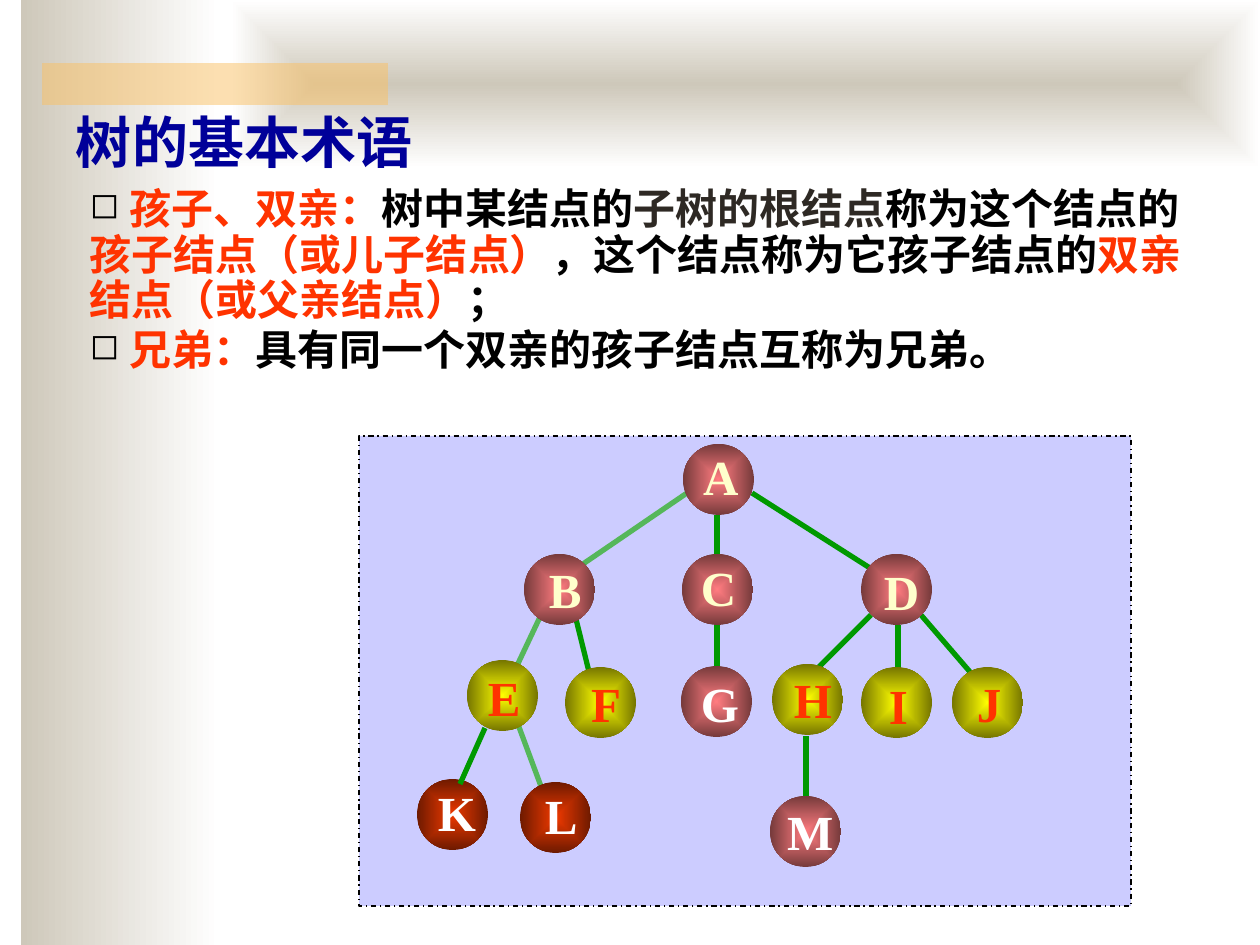
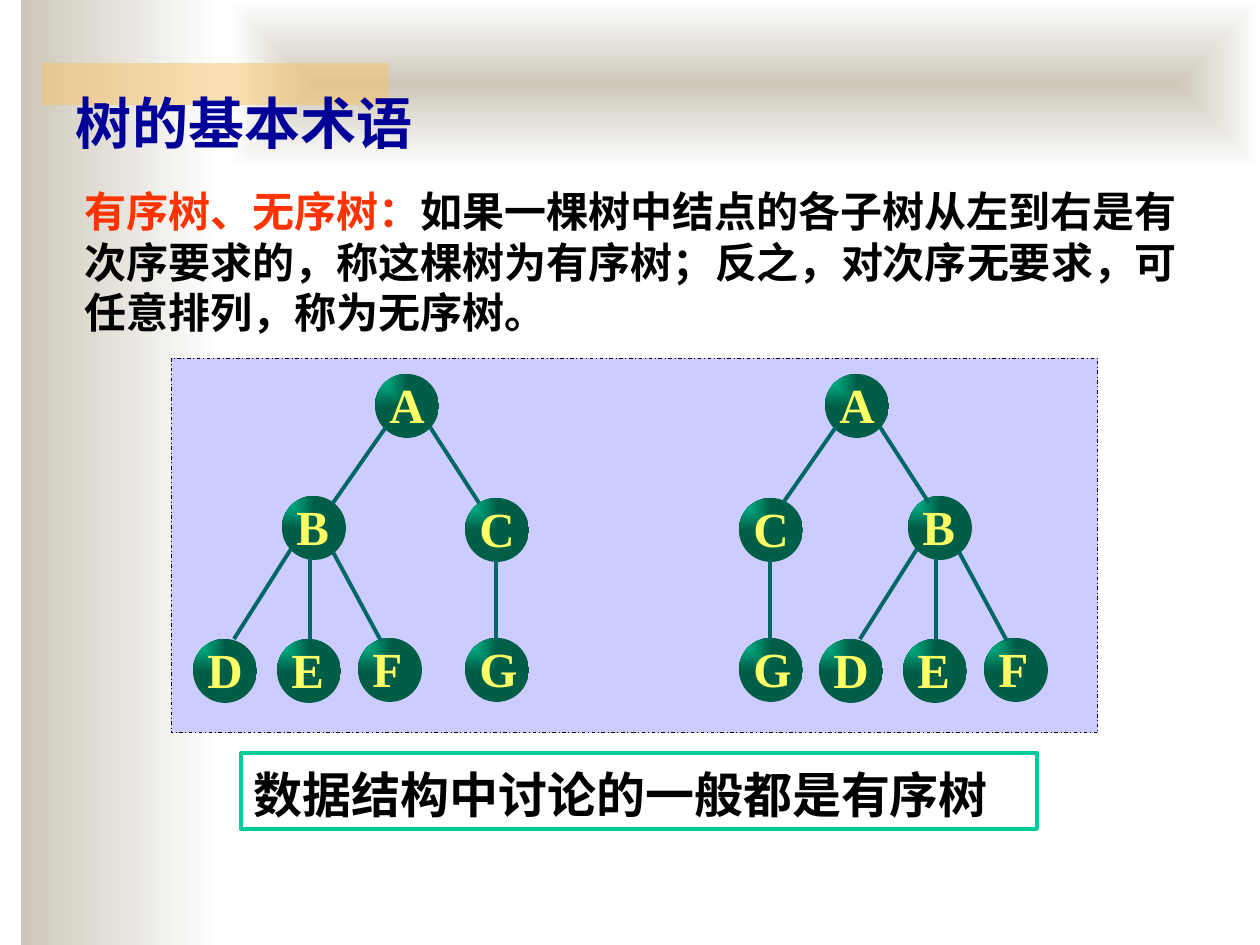
from lxml.etree import SubElement as Sub
from pptx import Presentation
from pptx.dml.color import RGBColor
from pptx.enum.dml import MSO_LINE as Dash
from pptx.enum.shapes import MSO_CONNECTOR as Conn, MSO_SHAPE as Geo
from pptx.enum.text import MSO_ANCHOR as Anchor, PP_ALIGN as Align
from pptx.oxml.ns import qn
from pptx.util import Emu, Pt

SCALE = 914400 / 126
HAN, ROMAN = "Noto Sans CJK SC", "Times New Roman"
RED, BLACK, WHITE, NAVY = "FF3300", "000000", "FFFFFF", "000099"
SAND, AMBER, LILAC, MINT = "CEC8BA", "FAC164", "CCCCFF", "00CC99"
CREAM, LEMON, GREEN, PALE, TEAL = "FFFFCC", "FFFF66", "009900", "55B75A", "006666"
# Ball gradients: centre, rim
ROSE, GOLD, RUST = ("FF7C80", "763A3B"), ("FFFF00", "767600"), ("EE3900", "6E1A00")
JADE = (MINT, "005E47")
CENTRE, CORNER = (50, 50, 50, 50), (0, 0, 100, 100)

# Content: each paragraph is a list of (words, colour)
TITLE = "树的基本术语"
KIN = [
    [(" 孩子、双亲：", RED), ("树中某结点的", BLACK), ("子树的根结点", "2E2924"),
     ("称为这个结点的", BLACK), ("孩子结点（或儿子结点）", RED),
     ("，这个结点称为它孩子结点的", BLACK), ("双亲结点（或父亲结点）", RED), ("；", BLACK)],
    [(" 兄弟：", RED), ("具有同一个双亲的孩子结点互称为兄弟。", BLACK)],
]
ORDER = [[("有序树、无序树：", RED),
          ("如果一棵树中结点的各子树从左到右是有次序要求的，称这棵树为有序树；"
           "反之，对次序无要求，可任意排列，称为无序树。", BLACK)]]
NOTE = "数据结构中讨论的一般都是有序树"

# Family tree: letter, ball x, y, label x, y, label width, ball colours, ink
FAMILY = [
    ("A", 683, 444, 690, 441, 59, ROSE, CREAM),
    ("B", 524, 554, 536, 554, 57, ROSE, CREAM),
    ("C", 682, 554, 688, 552, 59, ROSE, CREAM),
    ("D", 861, 554, 871, 556, 59, ROSE, CREAM),
    ("E", 467, 660, 475, 662, 57, GOLD, RED),
    ("F", 565, 667, 578, 668, 54, GOLD, RED),
    ("G", 681, 666, 688, 668, 62, ROSE, WHITE),
    ("H", 772, 664, 781, 664, 62, GOLD, RED),
    ("I", 861, 667, 876, 670, 43, GOLD, RED),
    ("J", 952, 667, 964, 668, 48, GOLD, RED),
    ("K", 417, 779, 425, 777, 62, RUST, WHITE),
    ("L", 520, 782, 532, 780, 57, RUST, WHITE),
    ("M", 770, 796, 774, 796, 69, ROSE, WHITE),
]
LINKS = [
    (921, 615, 983, 687, GREEN), (871, 615, 809, 677, GREEN),
    (898, 625, 898, 677, GREEN), (806, 736, 806, 796, GREEN),
    (752, 493, 881, 575, GREEN), (687, 493, 583, 564, PALE),
    (717, 515, 717, 737, GREEN), (575, 615, 593, 688, GREEN),
    (519, 727, 542, 789, PALE), (541, 615, 515, 670, PALE),
]
TOP_LINK = (485, 728, 460, 784, GREEN)

# Ordered tree branches: shift to the second tree, balls, links
BRANCHES = [
    (450, [("A", 375, 374)], [(386, 427, 333, 503), (430, 427, 479, 503)]),
    (274, [("C", 465, 498), ("G", 465, 638)], [(496, 559, 496, 641)]),
    (626, [("B", 282, 496), ("D", 193, 639), ("E", 277, 639), ("F", 358, 638)],
     [(310, 558, 310, 639), (333, 552, 381, 641), (291, 549, 234, 639)]),
]


def px(*sizes):
    return [Emu(round(size * SCALE)) for size in sizes]


def rgb(code):
    return RGBColor.from_string(code)


def blend(shape, inner, outer, focus=None):
    """Linear gradient, or a path gradient when a focus is given."""
    fill = shape.fill
    fill.gradient()
    fill.gradient_angle = 0
    for stop, code in zip(fill.gradient_stops, (inner, outer)):
        stop.color.rgb = rgb(code)
    if focus:
        grad = shape._element.spPr.find(qn("a:gradFill"))
        grad.remove(grad.find(qn("a:lin")))
        kind = "shape" if focus == CENTRE else "rect"
        way = Sub(grad, qn("a:path"), {"path": kind})
        Sub(way, qn("a:fillToRect"),
            {side: str(part * 1000) for side, part in zip("ltrb", focus)})


def shape(slide, box, geo=Geo.RECTANGLE, fill=None, line=None, width=1, dash=None):
    item = slide.shapes.add_shape(geo, *px(*box))
    item.shadow.inherit = False
    if fill:
        item.fill.solid()
        item.fill.fore_color.rgb = rgb(fill)
    else:
        item.fill.background()
    if line:
        item.line.color.rgb = rgb(line)
        item.line.width = Pt(width)
        item.line.dash_style = dash
    else:
        item.line.fill.background()
    return item


def ball(slide, x, y, size, tones, focus):
    item = shape(slide, (x, y, size, size), Geo.OVAL)
    blend(item, *tones, focus)
    return item


def link(slide, x1, y1, x2, y2, ink, width):
    item = slide.shapes.add_connector(Conn.STRAIGHT, *px(x1, y1, x2, y2))
    item.line.color.rgb = rgb(ink)
    item.line.width = Pt(width)
    Sub(item._element.spPr, qn("a:effectLst"))


def text(item, paras, size=28, font=HAN, ink=BLACK, pitch=None, gap=0,
         inset=(13, 6, 13, 6), anchor=Anchor.TOP, wrap=True, mark=None):
    frame = item.text_frame
    frame.word_wrap = wrap
    frame.vertical_anchor = anchor
    (frame.margin_left, frame.margin_top,
     frame.margin_right, frame.margin_bottom) = px(*inset)
    if isinstance(paras, str):
        paras = [[(paras, ink)]]
    for i, parts in enumerate(paras):
        para = frame.paragraphs[0] if i == 0 else frame.add_paragraph()
        para.alignment = Align.LEFT
        para.space_before = Pt(gap if i else 0)
        if pitch:
            para.line_spacing = pitch
        if mark:
            props = para._p.get_or_add_pPr()
            clr = Sub(props, qn("a:buClr"))
            Sub(clr, qn("a:srgbClr"), val=BLACK)
            Sub(props, qn("a:buSzPct"), val="85000")
            Sub(props, qn("a:buChar"), char=mark)
        for words, code in parts:
            run = para.add_run()
            run.text = words
            run.font.size = Pt(size)
            run.font.bold = True
            run.font.name = font
            run.font.color.rgb = rgb(code)
            Sub(run._r.get_or_add_rPr(), qn("a:ea"), typeface=HAN)


def words(slide, box, paras, **look):
    text(slide.shapes.add_textbox(*px(*box)), paras, **look)


def base(deck, top):
    """Blank slide with the side band, top band, amber bar and title."""
    slide = deck.slides.add_slide(deck.slide_layouts[6])
    blend(shape(slide, (21, 0, 199, 945)), SAND, WHITE)
    blend(shape(slide, (231, 0, 1029, 168)), SAND, WHITE, CENTRE)
    bar = shape(slide, (42, 63, 346, 42), fill=AMBER)
    tint = bar._element.spPr.find(qn("a:solidFill"))[0]
    Sub(tint, qn("a:alpha"), val="50000")
    words(slide, (63, top, 546, 79), TITLE, size=32, font=ROMAN, ink=NAVY,
          pitch=Pt(38.4), inset=(13, 12, 13, 0))
    return slide


def family(deck):
    slide = base(deck, 96)
    words(slide, (77, 179, 1143, 202), KIN, size=24, pitch=Pt(25.9), gap=2.7,
          inset=(13, 9, 13, 6), mark="◻")
    shape(slide, (359, 436, 772, 470), fill=LILAC, line=BLACK, width=0.75,
          dash=Dash.DASH_DOT)
    for spot in LINKS:
        link(slide, *spot, 3)
    for _, x, y, _, _, _, tones, _ in FAMILY:
        ball(slide, x, y, 71, tones, CENTRE)
    for name, _, _, x, y, wide, _, ink in FAMILY:
        words(slide, (x, y, wide, 69), name, font=ROMAN, ink=ink,
              anchor=Anchor.MIDDLE, wrap=False)
    link(slide, *TOP_LINK, 3)


def ordered(deck):
    slide = base(deck, 76)
    words(slide, (72, 175, 1142, 165), ORDER, size=24, pitch=Pt(28.8),
          inset=(13, 11, 13, 0))
    note = shape(slide, (241, 753, 796, 76), line=MINT, width=2.25)
    text(note, NOTE, pitch=Pt(33.6), inset=(13, 12, 13, 0))
    shape(slide, (171, 358, 927, 375), fill=LILAC, line=BLACK, width=0.5,
          dash=Dash.DASH_DOT)
    for second in (0, 1):
        for shift, balls, _ in BRANCHES:
            for name, x, y in balls:
                item = ball(slide, x + second * shift, y, 64, JADE, CORNER)
                text(item, name, font=ROMAN, ink=LEMON, pitch=0.8, inset=(5, 3, 5, 5))
        for shift, _, links in BRANCHES:
            move = second * shift
            for x1, y1, x2, y2 in links:
                link(slide, x1 + move, y1, x2 + move, y2, TEAL, 2.25)


def main():
    deck = Presentation()
    deck.slide_width, deck.slide_height = px(1260, 945)
    family(deck)
    ordered(deck)
    deck.save("out.pptx")


if __name__ == "__main__":
    main()
